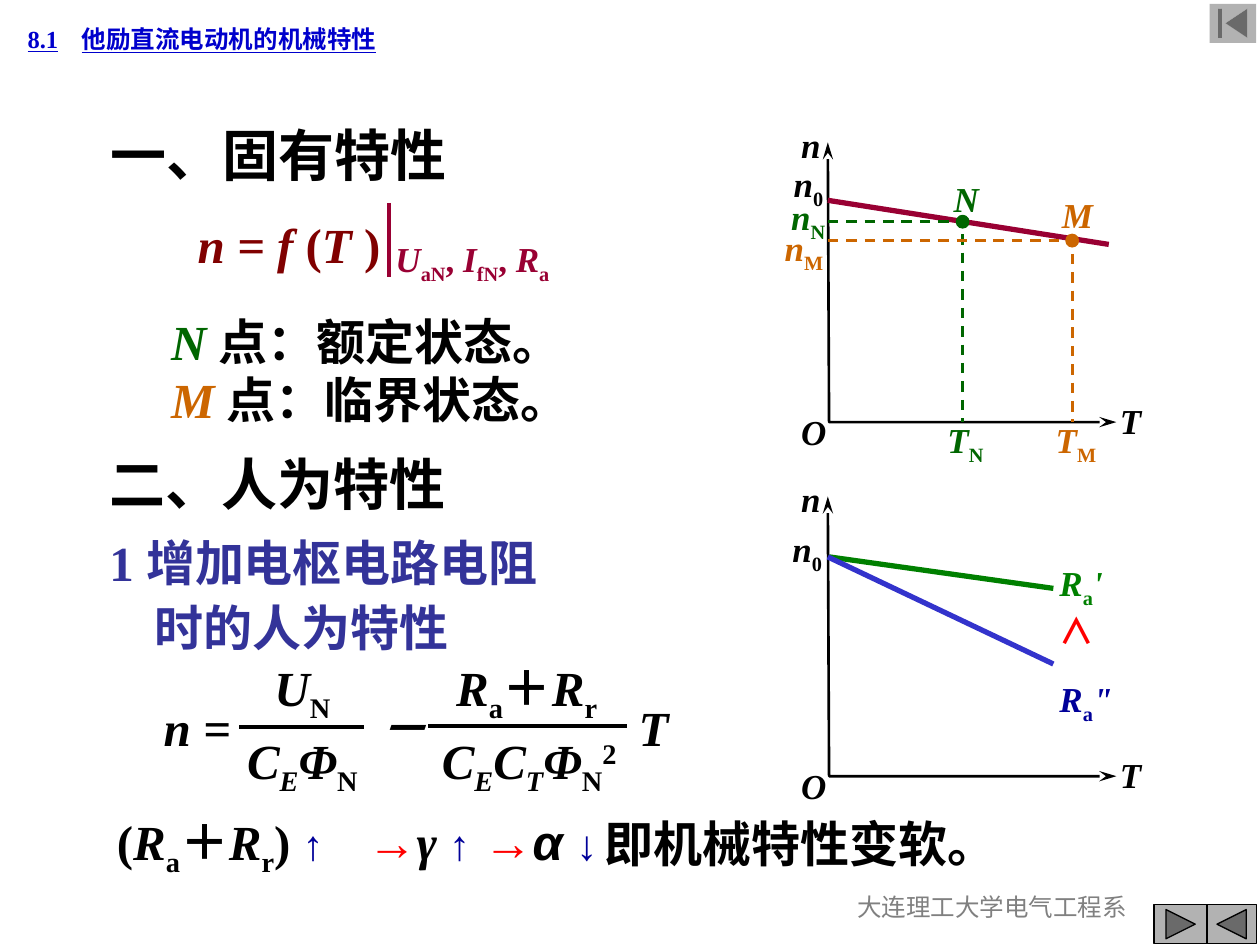
from dataclasses import dataclass, field
from typing import Optional

from lxml import etree
from pptx import Presentation
from pptx.dml.color import RGBColor
from pptx.enum.dml import MSO_LINE
from pptx.enum.shapes import MSO_CONNECTOR, MSO_SHAPE
from pptx.enum.text import MSO_ANCHOR, MSO_AUTO_SIZE, PP_ALIGN
from pptx.oxml.ns import qn
from pptx.util import Inches, Pt

STRAIGHT = MSO_CONNECTOR.STRAIGHT
DASH = MSO_LINE.DASH
OVAL = MSO_SHAPE.OVAL
BEGINNING = MSO_SHAPE.ACTION_BUTTON_BEGINNING
NEXT = MSO_SHAPE.ACTION_BUTTON_FORWARD_OR_NEXT
PREVIOUS = MSO_SHAPE.ACTION_BUTTON_BACK_OR_PREVIOUS
CENTER, LEFT = PP_ALIGN.CENTER, PP_ALIGN.LEFT
TOP, MIDDLE = MSO_ANCHOR.TOP, MSO_ANCHOR.MIDDLE
FIT_SHAPE = MSO_AUTO_SIZE.SHAPE_TO_FIT_TEXT
COLORS = {
    "black": "000000", "gray": "808080", "button": "B2B2B2", "title": "0000CC",
    "rated": "006600", "critical": "CC6600", "curve": "990033", "formula": "800000",
    "heading": "333399", "small": "008000", "large": "3333CC", "navy": "000099", "red": "FF0000",
}
SERIF, SANS = "Times New Roman", "Arial"
GRAPH_PITCH = 2.81


@dataclass
class Piece:
    text: str
    italic: bool = True
    base: int = 0
    color: Optional[str] = None
    size: Optional[float] = None
    font: str = SERIF


@dataclass
class Line:
    pieces: list[Piece]
    before: float = 0
    indent: float = 0
    tabs: tuple[float, ...] = ()
    align: PP_ALIGN = LEFT
    spacing: Optional[float] = None


@dataclass
class Block:
    left: float
    top: float
    width: float
    height: float
    lines: list[Line] = field(default_factory=list)
    color: str = "black"
    size: float = 20
    wrap: bool = False
    bold: bool = True
    underline: bool = False
    rotation: float = 0
    anchor: MSO_ANCHOR = TOP


def rgb(name: str) -> RGBColor:
    """Look up a colour."""
    return RGBColor.from_string(COLORS[name])


def upright(text: str, **options) -> Piece:
    """Describe text that is not italic."""
    return Piece(text, italic=False, **options)


def sub(text: str, italic: bool = False) -> Piece:
    """Describe a subscript."""
    return Piece(text, italic, -25)


def arrow(text: str) -> Piece:
    """Describe a rise or fall arrow."""
    return upright(text, color="navy", size=24, font=SANS)


def symbol(name: str, index: str = "") -> list[Line]:
    """Describe a variable with an optional subscript."""
    return [Line([Piece(name)] + ([sub(index)] if index else []))]


def add_block(page, block: Block) -> None:
    """Draw a text box."""
    box = page.shapes.add_textbox(*map(Inches, (block.left, block.top, block.width, block.height)))
    box.rotation = block.rotation
    frame = box.text_frame
    frame.word_wrap = block.wrap
    frame.auto_size = FIT_SHAPE
    frame.vertical_anchor = block.anchor
    for number, line in enumerate(block.lines):
        para = frame.add_paragraph() if number else frame.paragraphs[0]
        properties = para._p.get_or_add_pPr()
        if line.indent:
            properties.set("marL", str(Inches(line.indent)))
            properties.set("indent", "0")
        if line.tabs:
            stops = etree.SubElement(properties, qn("a:tabLst"))
            for stop in line.tabs:
                etree.SubElement(stops, qn("a:tab"), pos=str(Inches(stop)), algn="l")
        para.alignment = line.align
        if line.before:
            para.space_before = Pt(line.before)
        if line.spacing:
            para.line_spacing = line.spacing
        for piece in line.pieces:
            span = para.add_run()
            span.text = piece.text
            font = span.font
            font.name, font.size = piece.font, Pt(piece.size or block.size)
            font.bold, font.italic, font.underline = block.bold, piece.italic, block.underline
            font.color.rgb = rgb(piece.color or block.color)
            if piece.base:
                font._element.set("baseline", str(piece.base * 1000))


def add_line(page, start: tuple, end: tuple, color: str, width: float) -> None:
    """Draw a straight line."""
    line = page.shapes.add_connector(STRAIGHT, *map(Inches, (*start, *end)))
    line.line.color.rgb = rgb(color)
    line.line.width = Pt(width)
    etree.SubElement(line._element.spPr, qn("a:effectLst"))


def add_path(page, points: list[tuple], color: str, dashed: bool = False, arrows: bool = False) -> None:
    """Draw an open path."""
    corners = [(Inches(x), Inches(y)) for x, y in points]
    builder = page.shapes.build_freeform(*corners[0])
    builder.add_line_segments(corners[1:], close=False)
    path = builder.convert_to_shape()
    path.shadow.inherit = False
    path.fill.background()
    path.line.color.rgb = rgb(color)
    path.line.width = Pt(1.5)
    if dashed:
        path.line.dash_style = DASH
    if arrows:
        for end in ("a:headEnd", "a:tailEnd"):
            etree.SubElement(path.line._get_or_add_ln(), qn(end), type="stealth", len="lg")


def add_preset(page, kind, place: tuple, fill: str, outline: Optional[str]) -> None:
    """Draw a filled preset shape."""
    shape = page.shapes.add_shape(kind, *map(Inches, place))
    shape.shadow.inherit = False
    shape.fill.solid()
    shape.fill.fore_color.rgb = rgb(fill)
    if outline:
        shape.line.color.rgb = rgb(outline)
        shape.line.width = Pt(0.75)
    else:
        shape.line.fill.background()


def add_axes(page, shift: float) -> None:
    """Draw the speed and torque axes with their labels."""
    add_path(page, [(8.86, 3.35 + shift), (6.58, 3.35 + shift), (6.57, 1.13 + shift)], "black", arrows=True)
    for name, left, top, width in (("O", 6.26, 3.21, 0.42), ("T", 8.79, 3.12, 0.5), ("n", 6.26, 0.93, 0.42)):
        add_block(page, Block(left, top + shift, width, 0.44, symbol(name), wrap=True))


def add_point(page, name: str, color: str, x: float, y: float, labels: list[tuple]) -> None:
    """Draw an operating point with its guides and labels."""
    add_path(page, [(6.57, y), (x, y), (x, 3.35)], color, dashed=True)
    add_preset(page, OVAL, (x - 0.05, y - 0.05, 0.1, 0.1), color, color)
    for variable, left, top, width in labels:
        lines = symbol(variable, name) if variable else symbol(name)
        add_block(page, Block(left, top, width, 0.48 if variable else 0.44, lines, color))


def text_blocks() -> list[Block]:
    """Describe the text and formulas."""
    resistance = [Piece("R"), sub("a"), Piece("＋", False), Piece("R"), sub("r")]
    states = [Line([Piece(f"{name} ", color=color), upright(f"点：{state}状态。")], indent=0.49)
              for name, color, state in (("N", "rated", "额定"), ("M", "critical", "临界"))]
    return [
        Block(6.29, 7.03, 3.17, 0.5, [Line([upright("大连理工大学电气工程系")], align=CENTER)],
              "gray", 14, wrap=True, bold=False),
        Block(0.12, 0.14, 3.19, 0.34, [Line([upright("8.1\t他励直流电动机的机械特性")], tabs=(0.43,))],
              "title", 14, wrap=True, underline=True, anchor=MIDDLE),
        Block(0.78, 0.91, 3.09, 0.64, [Line([upright("一、固有特性")])], size=32),
        Block(1.47, 1.65, 1.92, 0.57, [Line([Piece("n = f"), upright(" ("), Piece("T "), upright(")")])],
              "formula", 28, wrap=True),
        Block(3.04, 1.84, 1.6, 0.44, [Line([
            Piece("U"), sub("aN"), upright(", "), Piece("I"), sub("fN"), upright(", "), Piece("R"), sub("a"),
        ], spacing=0.9)], "curve", wrap=True),
        Block(0.77, 2.42, 4.13, 2.84, states + [
            Line([upright("二、人为特性", size=32)], 12),
            Line([upright("1 增加电枢电路电阻", color="heading")], 8.8),
            Line([upright("时的人为特性", color="heading")], 3.5, 0.36),
        ], size=28),
        Block(1.2, 5.49, 4.5, 1.04, [Line([Piece("n =\t－\tT")], tabs=(1.7, 3.77))], size=28, wrap=True),
        Block(1.86, 5.17, 1.08, 1.21, [
            Line([Piece("U"), sub("N")], align=CENTER),
            Line([Piece("C"), sub("E", True), Piece("Φ"), sub("N")], 3.5, align=CENTER),
        ], size=28),
        Block(3.31, 5.17, 1.74, 1.21, [
            Line(resistance, align=CENTER),
            Line([Piece(" C"), sub("E", True), Piece("C"), sub("T", True), Piece("Φ"), sub("N"),
                  upright("2 ", base=30)], 3.5, align=CENTER),
        ], size=28),
        Block(0.83, 6.39, 2.08, 0.63, [Line([upright("("), *resistance, upright(") "), arrow("↑")])], size=28),
        Block(2.82, 6.39, 1.06, 0.57, [Line([upright("→", color="red"), Piece("γ "), arrow("↑")])], size=28),
        Block(3.74, 6.39, 1.23, 0.57, [Line([
            upright("→", color="red"), Piece("α ", font=SANS), arrow("↓")])], size=28),
        Block(4.7, 6.41, 3.5, 0.57, [Line([upright("即机械特性变软。")])], size=28),
        Block(6.2, 1.24, 0.6, 0.48, symbol("n", "0"), wrap=True),
        Block(6.19, 4.14, 0.6, 0.48, symbol("n", "0"), wrap=True),
        Block(8.31, 4.41, 0.69, 0.48, [Line([Piece("R"), sub("a"), Piece("'")])], "small"),
        Block(8.31, 5.33, 0.69, 0.48, [Line([Piece("R"), sub("a"), Piece('"')])], "navy"),
        Block(8.28, 4.82, 0.54, 0.44, [Line([upright("＜")])], "red", wrap=True, rotation=90),
    ]


def main() -> None:
    """Build the slide on the mechanical characteristics of a motor."""
    deck = Presentation()
    deck.slide_width, deck.slide_height = Inches(10), Inches(7.5)
    page = deck.slides.add_slide(deck.slide_layouts[6])
    for shift in (0, GRAPH_PITCH):
        add_axes(page, shift)
    for start, end, color, width in (
        ((6.57, 1.59), (8.8, 1.94), "curve", 3),
        ((6.58, 4.42), (8.36, 4.67), "small", 3),
        ((6.57, 4.42), (8.36, 5.27), "large", 3),
        ((3.09, 1.61), (3.09, 2.2), "curve", 2.25),
        ((1.9, 5.77), (2.89, 5.77), "black", 2.25),
        ((3.4, 5.76), (4.98, 5.76), "black", 2.25),
    ):
        add_line(page, start, end, color, width)
    add_point(page, "N", "rated", 7.64, 1.76,
              [("", 7.47, 1.36, 0.42), ("n", 6.18, 1.5, 0.5), ("T", 7.42, 3.27, 0.52)])
    add_point(page, "M", "critical", 8.51, 1.91,
              [("", 8.33, 1.49, 0.47), ("n", 6.13, 1.75, 0.54), ("T", 8.28, 3.27, 0.55)])
    for block in text_blocks():
        add_block(page, block)
    for kind, place, outline in (
        (NEXT, (9.16, 7.18, 0.42, 0.31), "black"),
        (PREVIOUS, (9.58, 7.18, 0.39, 0.31), "black"),
        (BEGINNING, (9.6, 0.03, 0.37, 0.31), None),
    ):
        add_preset(page, kind, place, "button", outline)
    deck.save("out.pptx")


if __name__ == "__main__":
    main()
